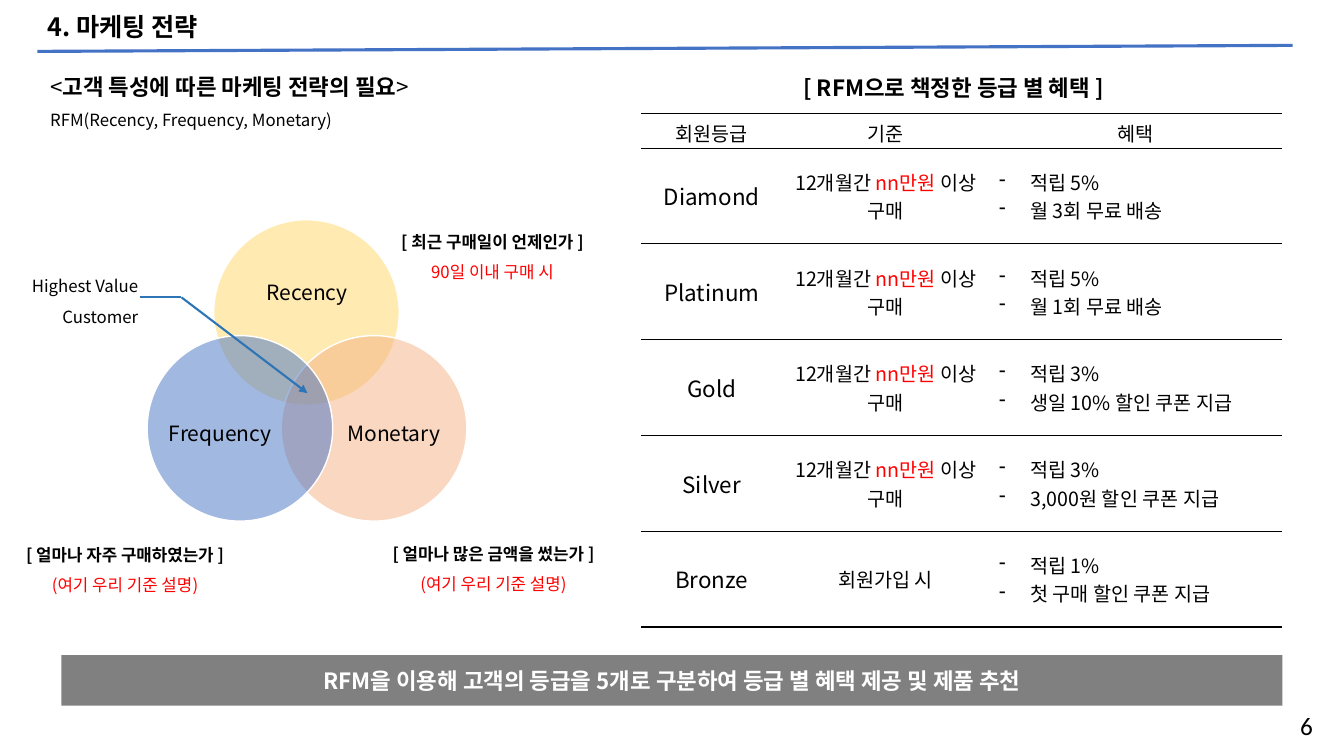
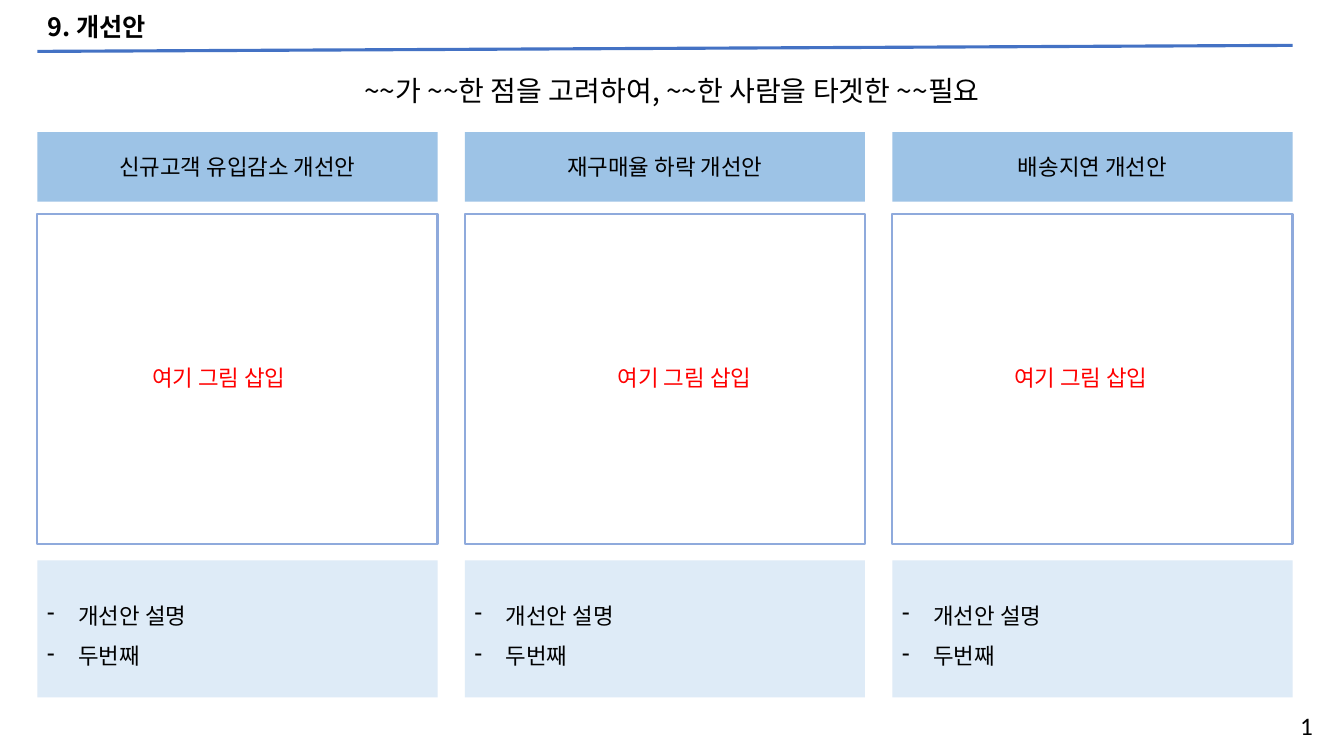
from lxml.etree import SubElement
from pptx import Presentation
from pptx.dml.color import RGBColor
from pptx.enum.shapes import MSO_CONNECTOR, MSO_SHAPE
from pptx.enum.text import MSO_ANCHOR, MSO_AUTO_SIZE, PP_ALIGN
from pptx.oxml import parse_xml
from pptx.oxml.ns import nsdecls, qn
from pptx.util import Pt

FONT = "Noto Sans CJK KR"
NUMBER_FONT = "Calibri"
BLACK, WHITE, RED = "000000", "FFFFFF", "FF0000"
TITLE_LINE, LEADER, FRAME_LINE = "4472C4", "2E75B6", "8FAADC"
HEADER_FILL, NOTE_FILL, BANNER_FILL = "9DC3E6", "DEEBF7", "808080"
YELLOW, ORANGE, BLUE = "FFD966", "F4B183", "4472C4"
LEFT, CENTER, RIGHT = PP_ALIGN.LEFT, PP_ALIGN.CENTER, PP_ALIGN.RIGHT
TOP, MIDDLE = MSO_ANCHOR.TOP, MSO_ANCHOR.MIDDLE

CIRCLE = 184
CIRCLES = [
    ("Recency", YELLOW, (212, 218), (237, 250, 135, 83)),
    ("Monetary", ORANGE, (279, 333), (335, 381, 111, 101)),
    ("Frequency", BLUE, (146, 333), (163, 381, 111, 101)),
]
QUESTIONS = [
    ((378, 215, 221, 68), "[ 최근 구매일이 언제인가 ]", "90일 이내 구매 시"),
    ((373, 524, 233, 68), "[ 얼마나 많은 금액을 썼는가 ]", "(여기 우리 기준 설명)"),
    ((10, 525, 228, 68), "[ 얼마나 자주 구매하였는가 ]", "(여기 우리 기준 설명)"),
]
TABLE_HEADERS = ["회원등급", "기준", "혜택"]
COLUMN_WIDTHS = [140, 205, 291]
HEADER_HEIGHT, GRADE_HEIGHT = 34, 95
PURCHASE = [("12개월간 ", {}), ("nn만원", {"color": RED}), (" 이상 구매", {})]
GRADES = [
    ("Diamond", PURCHASE, ["적립 5%", "월 3회 무료 배송"]),
    ("Platinum", PURCHASE, ["적립 5%", "월 1회 무료 배송"]),
    ("Gold", PURCHASE, ["적립 3%", "생일 10% 할인 쿠폰 지급"]),
    ("Silver", PURCHASE, ["적립 3%", "3,000원 할인 쿠폰 지급"]),
    ("Bronze", "회원가입 시", ["적립 1%", "첫 구매 할인 쿠폰 지급"]),
]
PLAN_LEFT, PLAN_STEP, PLAN_WIDTH = 37, 424, 397
PLANS = [
    ("신규고객 유입감소 개선안", 141),
    ("재구매율 하락 개선안", 603),
    ("배송지연 개선안", 996),
]


def px(length):
    """Convert px, 100 to the inch, to EMU."""
    return length * 9144


def box(left, top, width, height):
    return px(left), px(top), px(width), px(height)


def rgb(color):
    return RGBColor.from_string(color)


def format_run(run, size, color=BLACK, bold=False, font=FONT):
    run.font.size = Pt(size)
    run.font.bold = bold
    run.font.color.rgb = rgb(color)
    run.font.name = font
    SubElement(run.font._element, qn("a:ea")).set("typeface", font)


def add_dash(paragraph):
    properties = paragraph._p.get_or_add_pPr()
    properties.set("marL", str(px(31)))
    properties.set("indent", str(-px(31)))
    SubElement(properties, qn("a:buChar")).set("char", "-")


def write(frame, paragraphs, size, align=LEFT, spacing=1.0, dash=False, **style):
    """Fill a frame; a paragraph is a string or a list of (text, run style)."""
    frame.word_wrap = True
    for index, content in enumerate(paragraphs):
        paragraph = frame.paragraphs[0] if index == 0 else frame.add_paragraph()
        if dash:
            add_dash(paragraph)
        paragraph.alignment = align
        paragraph.line_spacing = spacing
        runs = [(content, {})] if isinstance(content, str) else content
        for text, run_style in runs:
            run = paragraph.add_run()
            run.text = text
            format_run(run, size, **{**style, **run_style})


def add_text(shapes, area, paragraphs, size, anchor=TOP, inset=True, **style):
    frame = shapes.add_textbox(*box(*area)).text_frame
    frame.vertical_anchor = anchor
    if not inset:
        frame.margin_left = frame.margin_right = 0
        frame.margin_top = frame.margin_bottom = 0
    write(frame, paragraphs, size, **style)


def add_block(shapes, kind, area, fill=None, line=None, line_width=1):
    shape = shapes.add_shape(kind, *box(*area))
    shape.shadow.inherit = False
    shape.text_frame.vertical_anchor = MIDDLE
    if fill:
        shape.fill.solid()
        shape.fill.fore_color.rgb = rgb(fill)
    else:
        shape.fill.background()
    if line:
        shape.line.color.rgb = rgb(line)
        shape.line.width = Pt(line_width)
    else:
        shape.line.fill.background()
    return shape


def add_line(shapes, start, end, color, width, arrow=False):
    points = [px(value) for value in (*start, *end)]
    line = shapes.add_connector(MSO_CONNECTOR.STRAIGHT, *points)
    line.line.color.rgb = rgb(color)
    line.line.width = Pt(width)
    if arrow:
        SubElement(line.line._get_or_add_ln(), qn("a:tailEnd")).set("type", "triangle")
    SubElement(line._element.spPr, qn("a:effectLst"))


def add_titled_slide(presentation, title, number):
    slide = presentation.slides.add_slide(presentation.slide_layouts[5])
    placeholder = slide.shapes.title
    placeholder.left, placeholder.top, placeholder.width, placeholder.height = box(
        37, 8, 914, 41)
    frame = placeholder.text_frame
    frame.auto_size = MSO_AUTO_SIZE.NONE
    frame.vertical_anchor = MIDDLE
    write(frame, [title], 18, spacing=0.9, bold=True)
    add_line(slide.shapes, (37, 51), (1282, 45), TITLE_LINE, 2.25)
    add_text(slide.shapes, (1214, 700, 98, 41), [number], 18, align=RIGHT,
             font=NUMBER_FONT)
    return slide


def add_venn(slide):
    shapes = slide.shapes.add_group_shape().shapes
    for name, color, corner, label_area in CIRCLES:
        circle = add_block(shapes, MSO_SHAPE.OVAL, (*corner, CIRCLE, CIRCLE),
                           color, WHITE)
        fill_color = circle._element.spPr.find(qn("a:solidFill"))[0]
        SubElement(fill_color, qn("a:alpha")).set("val", "50000")
        add_text(shapes, label_area, [name], 15, anchor=MIDDLE, inset=False,
                 align=CENTER, spacing=0.9)


def set_cell_borders(cell):
    """Rule the cell above and below, with open sides."""
    properties = cell._tc.get_or_add_tcPr()
    ruled = f'<a:solidFill><a:srgbClr val="{BLACK}"/></a:solidFill>'
    sides = [("lnL", "<a:noFill/>"), ("lnR", "<a:noFill/>"),
             ("lnT", ruled), ("lnB", ruled)]
    for index, (side, paint) in enumerate(sides):
        properties.insert(index, parse_xml(
            f'<a:{side} {nsdecls("a")} w="{Pt(1)}">{paint}</a:{side}>'))


def fill_cell(cell, paragraphs, size, **style):
    cell.fill.background()
    cell.vertical_anchor = MIDDLE
    set_cell_borders(cell)
    write(cell.text_frame, paragraphs, size, **style)


def add_grade_table(slide):
    height = HEADER_HEIGHT + GRADE_HEIGHT * len(GRADES)
    table = slide.shapes.add_table(
        len(GRADES) + 1, len(COLUMN_WIDTHS),
        *box(636, 113, sum(COLUMN_WIDTHS), height)).table
    table.first_row = table.horz_banding = False
    for column, width in zip(table.columns, COLUMN_WIDTHS):
        column.width = px(width)
    for index, row in enumerate(table.rows):
        row.height = px(GRADE_HEIGHT if index else HEADER_HEIGHT)
    for cell, header in zip(table.rows[0].cells, TABLE_HEADERS):
        cell.margin_top, cell.margin_bottom = px(4), px(1)
        fill_cell(cell, [header], 14, align=CENTER)
    for index, (grade, condition, benefits) in enumerate(GRADES, start=1):
        grade_cell, condition_cell, benefit_cell = table.rows[index].cells
        fill_cell(grade_cell, [grade], 16, align=CENTER)
        fill_cell(condition_cell, [condition], 14, align=CENTER)
        fill_cell(benefit_cell, benefits, 14, dash=True)


def build_marketing_slide(presentation):
    slide = add_titled_slide(presentation, "4. 마케팅 전략", "6")
    shapes = slide.shapes
    add_text(shapes, (40, 54, 414, 45),
             [[("<", {}), ("고객 특성에 따른 마케팅 전략의 필요", {"bold": True}),
               (">", {})]], 16, spacing=1.5)
    add_text(shapes, (40, 94, 414, 37), ["RFM(Recency, Frequency, Monetary)"], 12,
             spacing=1.5)
    add_venn(slide)
    for area, question, answer in QUESTIONS:
        add_text(shapes, area,
                 [[(question, {"bold": True})], [(answer, {"color": RED})]],
                 12, align=CENTER, spacing=1.5)
    leader_bend = (180, 295)
    add_line(shapes, leader_bend, (305, 390), LEADER, 1.5, arrow=True)
    add_line(shapes, leader_bend, (139, 295), LEADER, 1.5)
    add_text(shapes, (10, 259, 137, 68), ["Highest Value Customer"], 12,
             align=RIGHT, spacing=1.5)
    add_text(shapes, (787, 57, 334, 47), ["[ RFM으로 책정한 등급 별 혜택 ]"], 16,
             anchor=MIDDLE, spacing=1.5, bold=True)
    add_grade_table(slide)
    banner = add_block(shapes, MSO_SHAPE.RECTANGLE, (61, 650, 1211, 50), BANNER_FILL)
    write(banner.text_frame,
          ["RFM을 이용해 고객의 등급을 5개로 구분하여 등급 별 혜택 제공 및 제품 추천"],
          16, align=CENTER, color=WHITE, bold=True)


def add_plan(shapes, left, heading, prompt_left):
    header = add_block(shapes, MSO_SHAPE.RECTANGLE, (left, 131, PLAN_WIDTH, 69),
                       HEADER_FILL)
    write(header.text_frame, [heading], 16, align=CENTER)
    add_block(shapes, MSO_SHAPE.RECTANGLE, (left, 212, PLAN_WIDTH, 328),
              line=FRAME_LINE, line_width=1.5)
    add_text(shapes, (prompt_left, 328, 174, 80), ["여기 그림 삽입"], 16,
             anchor=MIDDLE, spacing=1.5, color=RED)
    note = add_block(shapes, MSO_SHAPE.RECTANGLE, (left, 556, PLAN_WIDTH, 136),
                     NOTE_FILL)
    write(note.text_frame, ["개선안 설명", "두번째"], 16, spacing=1.5, dash=True)


def build_improvement_slide(presentation):
    slide = add_titled_slide(presentation, "9. 개선안", "1")
    add_text(slide.shapes, (48, 68, 1237, 44),
             ["~~가 ~~한 점을 고려하여, ~~한 사람을 타겟한 ~~필요"], 20, align=CENTER)
    for index, (heading, prompt_left) in enumerate(PLANS):
        add_plan(slide.shapes, PLAN_LEFT + index * PLAN_STEP, heading, prompt_left)


def main():
    presentation = Presentation()
    presentation.slide_width, presentation.slide_height = px(1333), px(750)
    build_marketing_slide(presentation)
    build_improvement_slide(presentation)
    presentation.save("out.pptx")


if __name__ == "__main__":
    main()
